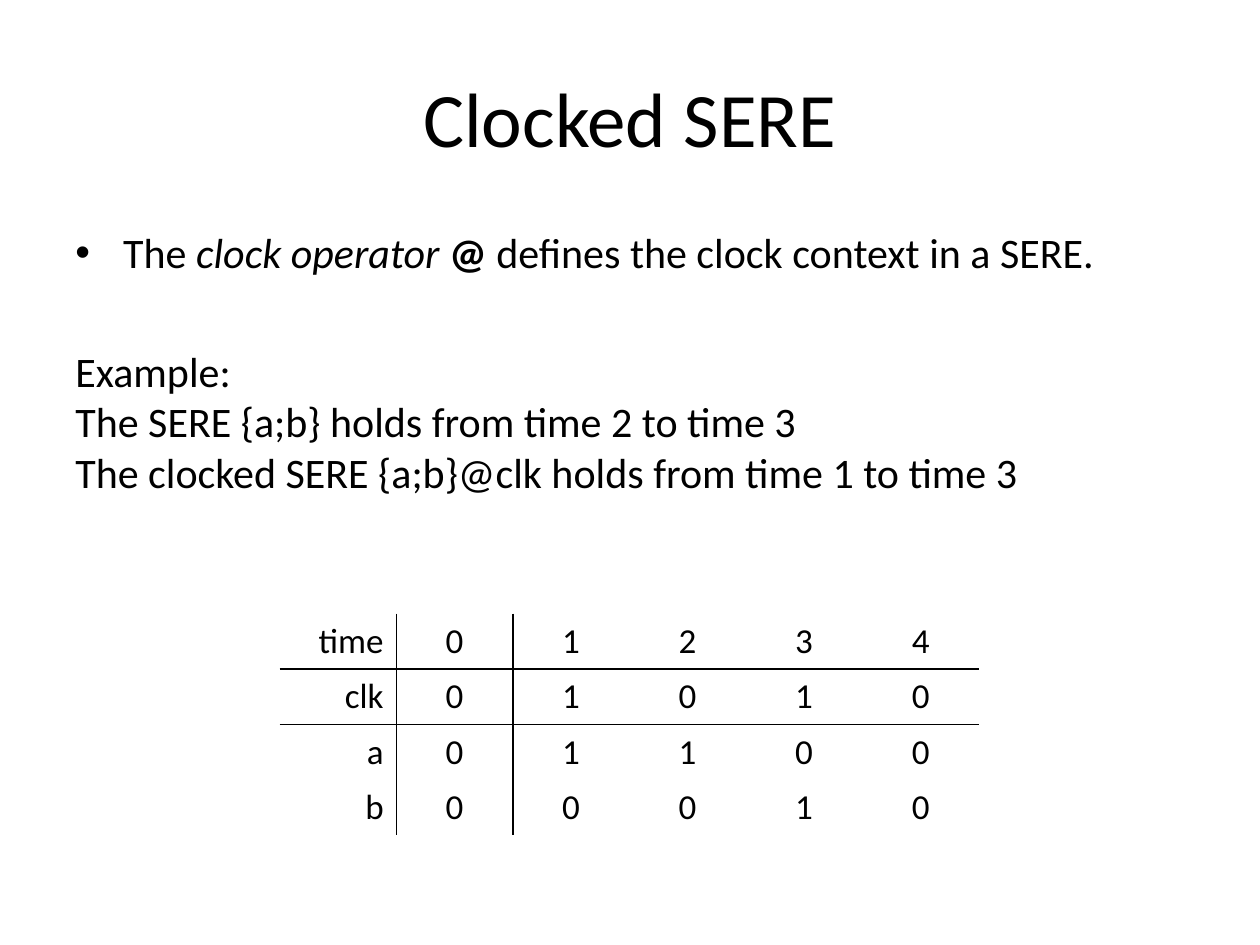
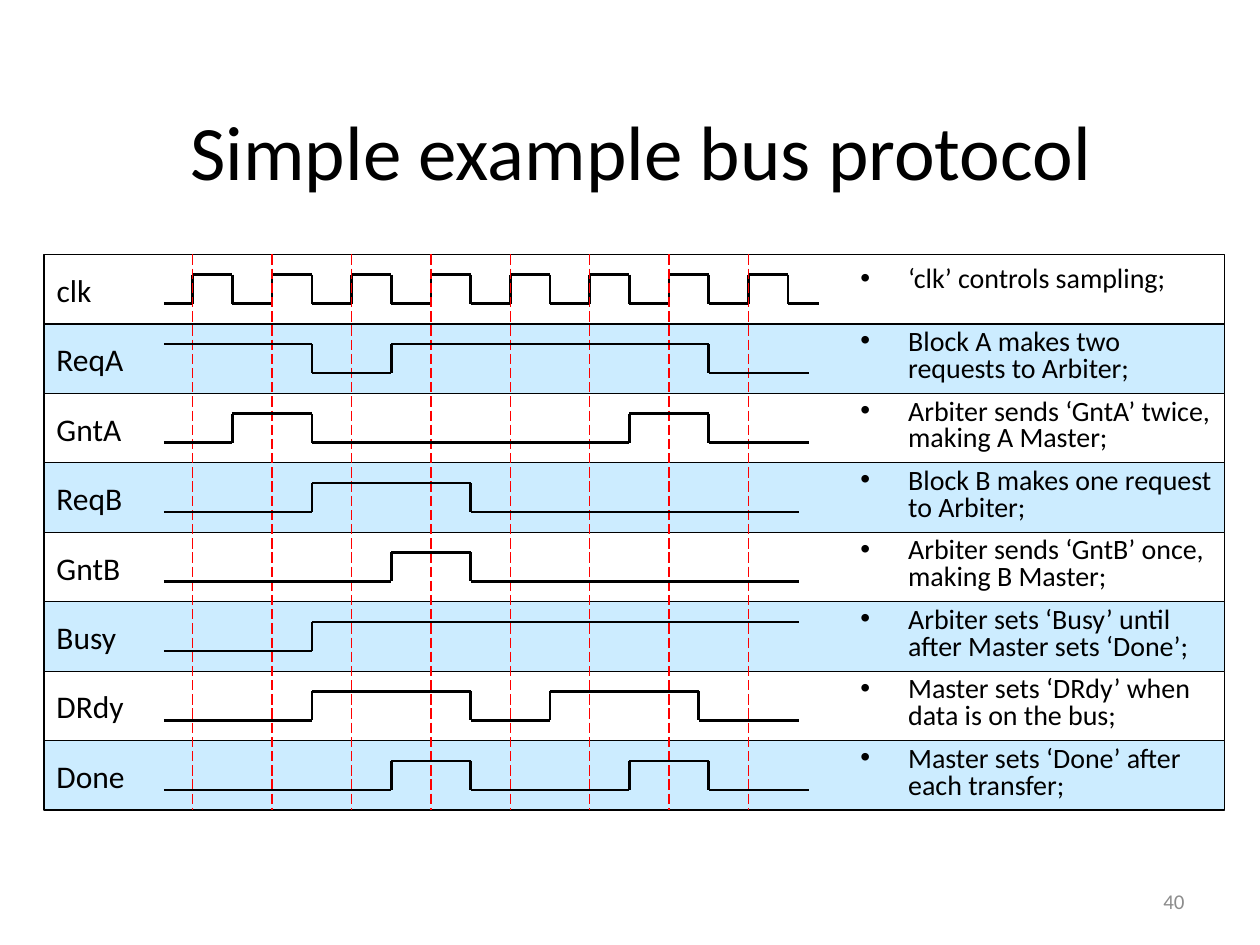
from itertools import pairwise

from lxml.etree import SubElement
from pptx import Presentation
from pptx.dml.color import RGBColor
from pptx.enum.dml import MSO_LINE
from pptx.enum.shapes import MSO_CONNECTOR as CONNECTOR, MSO_SHAPE as SHAPE
from pptx.enum.text import MSO_ANCHOR as ANCHOR, PP_ALIGN as ALIGN
from pptx.oxml.ns import qn
from pptx.util import Inches, Pt

FONT = "Calibri"
COLORS = {"black": "000000", "white": "FFFFFF", "band": "CCECFF",
          "sample": "FF0000", "number": "8C8C8C"}
NO_STYLE_TABLE = "{2D5ABB26-0587-4C30-8999-92F81FD0307C}"


def write(frame, *spans, size, color="black", align=ALIGN.LEFT, bullet=False,
          before=0, spacing=None):
    """Add a paragraph; a span is a text or a (text, "bold" or "italic") pair."""
    para = frame.paragraphs[0]
    if para.runs:
        para = frame.add_paragraph()
    para.alignment = align
    para.space_before = Pt(before)
    if spacing:
        para.line_spacing = spacing
    if bullet:
        props = para._p.get_or_add_pPr()
        props.set("marL", str(Inches(0.38)))
        props.set("indent", str(-Inches(0.38)))
        SubElement(props, qn("a:buFont"), typeface="Arial")
        SubElement(props, qn("a:buChar"), char="•")
    for item in spans:
        text, style = item if isinstance(item, tuple) else (item, None)
        for number, part in enumerate(text.split("\n")):
            if number:
                para.add_line_break()
            span = para.add_run()
            span.text = part
            span.font.name = FONT
            span.font.size = Pt(size)
            span.font.bold = style == "bold"
            span.font.italic = style == "italic"
            span.font.color.rgb = RGBColor.from_string(COLORS[color])


def draw_line(page, x1, y1, x2, y2, color="black", width=1.5, dash=None):
    line = page.shapes.add_connector(CONNECTOR.STRAIGHT, Inches(x1), Inches(y1),
                                     Inches(x2), Inches(y2))
    line.line.color.rgb = RGBColor.from_string(COLORS[color])
    line.line.width = Pt(width)
    if dash:
        line.line.dash_style = dash
    SubElement(line._element.spPr, qn("a:effectLst"))


deck = Presentation()
deck.slide_width, deck.slide_height = Inches(10), Inches(7.5)

# Titles of both slides
pages = []
for text, place in [("Clocked SERE", (0.5, 0.3, 9, 1.25)),
                    ("Simple example bus protocol", (0.59, 0.74, 9, 0.9))]:
    page = deck.slides.add_slide(deck.slide_layouts[5])
    title = page.shapes.title
    title.left, title.top, title.width, title.height = map(Inches, place)
    title.text_frame.vertical_anchor = ANCHOR.MIDDLE
    write(title.text_frame, text, size=44, align=ALIGN.CENTER)
    pages.append(page)
sere_page, bus_page = pages

# Clocked SERE: explanation
box = sere_page.shapes.add_textbox(Inches(0.5), Inches(1.75), Inches(9), Inches(3))
box.text_frame.word_wrap = True
write(box.text_frame, "The ", ("clock operator ", "italic"), ("@", "bold"),
      " defines the clock context in a SERE.", size=24, bullet=True, before=4.8)
write(box.text_frame, "Example:\nThe SERE {a;b} holds from time 2 to time 3\n"
      "The clocked SERE {a;b}@clk holds from time 1 to time 3", size=24, before=39)

# Clocked SERE: trace table
trace = [("time", 0, 1, 2, 3, 4),
         ("clk", 0, 1, 0, 1, 0),
         ("a", 0, 1, 1, 0, 0),
         ("b", 0, 0, 0, 1, 0)]
table = sere_page.shapes.add_table(len(trace), len(trace[0]), Inches(2.22), Inches(4.87),
                                   Inches(5.55), Inches(1.76)).table
table._tbl.tblPr.find(qn("a:tableStyleId")).text = NO_STYLE_TABLE
table.first_row = table.horz_banding = False
for row, values in enumerate(trace):
    for column, value in enumerate(values):
        cell = table.cell(row, column)
        write(cell.text_frame, str(value), size=20,
              align=ALIGN.CENTER if column else ALIGN.RIGHT)
        ruled = {"L": column in (1, 2), "R": column in (0, 1),
                 "T": row in (1, 2), "B": row in (0, 1)}
        props = cell._tc.get_or_add_tcPr()
        for side, has_rule in ruled.items():
            border = SubElement(props, qn(f"a:ln{side}"), w=str(Pt(1)))
            if has_rule:
                fill = SubElement(border, qn("a:solidFill"))
                SubElement(fill, qn("a:srgbClr"), val=COLORS["black"])
            else:
                SubElement(border, qn("a:noFill"))
        cell.fill.background()

# Bus protocol: signal, label width, starts high, edges in half cycles, end, remark
signals = [
    ("clk", 0.51, False, range(16), 6.5, "‘clk’ controls sampling;"),
    ("ReqA", 0.83, True, (3, 5, 13), 6.42, "Block A makes two requests to Arbiter;"),
    ("GntA", 0.77, False, (1, 3, 11, 13), 6.42,
     "Arbiter sends ‘GntA’ twice, making A Master;"),
    ("ReqB", 0.83, False, (3, 7), 6.34, "Block B makes one request to Arbiter;"),
    ("GntB", 0.77, False, (5, 7), 6.34, "Arbiter sends ‘GntB’ once, making B Master;"),
    ("Busy", 0.76, False, (3,), 6.34,
     "Arbiter sets ‘Busy’ until after Master sets ‘Done’;"),
    ("DRdy", 0.83, False, (3, 7, 9, 12.75), 6.34,
     "Master sets ‘DRdy’ when data is on the bus;"),
    ("Done", 0.8, False, (5, 7, 11, 13), 6.42, "Master sets ‘Done’ after each transfer;"),
]
BAND_LEFT, BAND_WIDTH = 0.35, 9.37
BANDS_TOP, BANDS_HEIGHT = 2.02, 4.41
BAND_HEIGHT = BANDS_HEIGHT / len(signals)
WAVE_LEFT, FIRST_EDGE, CYCLE = 1.3, 1.53, 0.63
tops = [BANDS_TOP + BAND_HEIGHT * row for row in range(len(signals))]

for row, top in enumerate(tops):
    band = bus_page.shapes.add_shape(SHAPE.RECTANGLE, Inches(BAND_LEFT), Inches(top),
                                     Inches(BAND_WIDTH), Inches(BAND_HEIGHT))
    band.shadow.inherit = False
    band.fill.solid()
    band.fill.fore_color.rgb = RGBColor.from_string(COLORS["band" if row % 2 else "white"])
    band.line.color.rgb = RGBColor.from_string(COLORS["black"])
    band.line.width = Pt(0.75)

for top, (name, width, high, edges, end, remark) in zip(tops, signals):
    label = bus_page.shapes.add_textbox(Inches(BAND_LEFT), Inches(top + 0.08),
                                        Inches(width), Inches(0.4))
    label.text_frame.word_wrap = False
    write(label.text_frame, name, size=18)

    high_y, low_y = top + 0.16, top + 0.39
    stops = [WAVE_LEFT, *(FIRST_EDGE + CYCLE / 2 * edge for edge in edges), end]
    for start, stop in pairwise(stops):
        level = high_y if high else low_y
        draw_line(bus_page, start, level, stop, level)
        if stop != end:
            draw_line(bus_page, stop, high_y, stop, low_y)
        high = not high

    if name == "clk":
        for cycle in range(8):
            x = FIRST_EDGE + CYCLE * cycle
            draw_line(bus_page, x, BANDS_TOP, x, BANDS_TOP + BANDS_HEIGHT,
                      color="sample", width=0.75, dash=MSO_LINE.LONG_DASH)

    note = bus_page.shapes.add_textbox(Inches(6.73), Inches(top), Inches(2.99),
                                       Inches(BAND_HEIGHT))
    note.text_frame.word_wrap = True
    write(note.text_frame, remark, size=16, bullet=True, before=3.2,
          spacing=None if name == "clk" else 0.8)

number_box = bus_page.shapes.add_textbox(Inches(7.17), Inches(6.95), Inches(2.33), Inches(0.4))
number_box.text_frame.word_wrap = True
number_box.text_frame.vertical_anchor = ANCHOR.MIDDLE
write(number_box.text_frame, "40", size=12, color="number", align=ALIGN.RIGHT)

deck.save("out.pptx")
